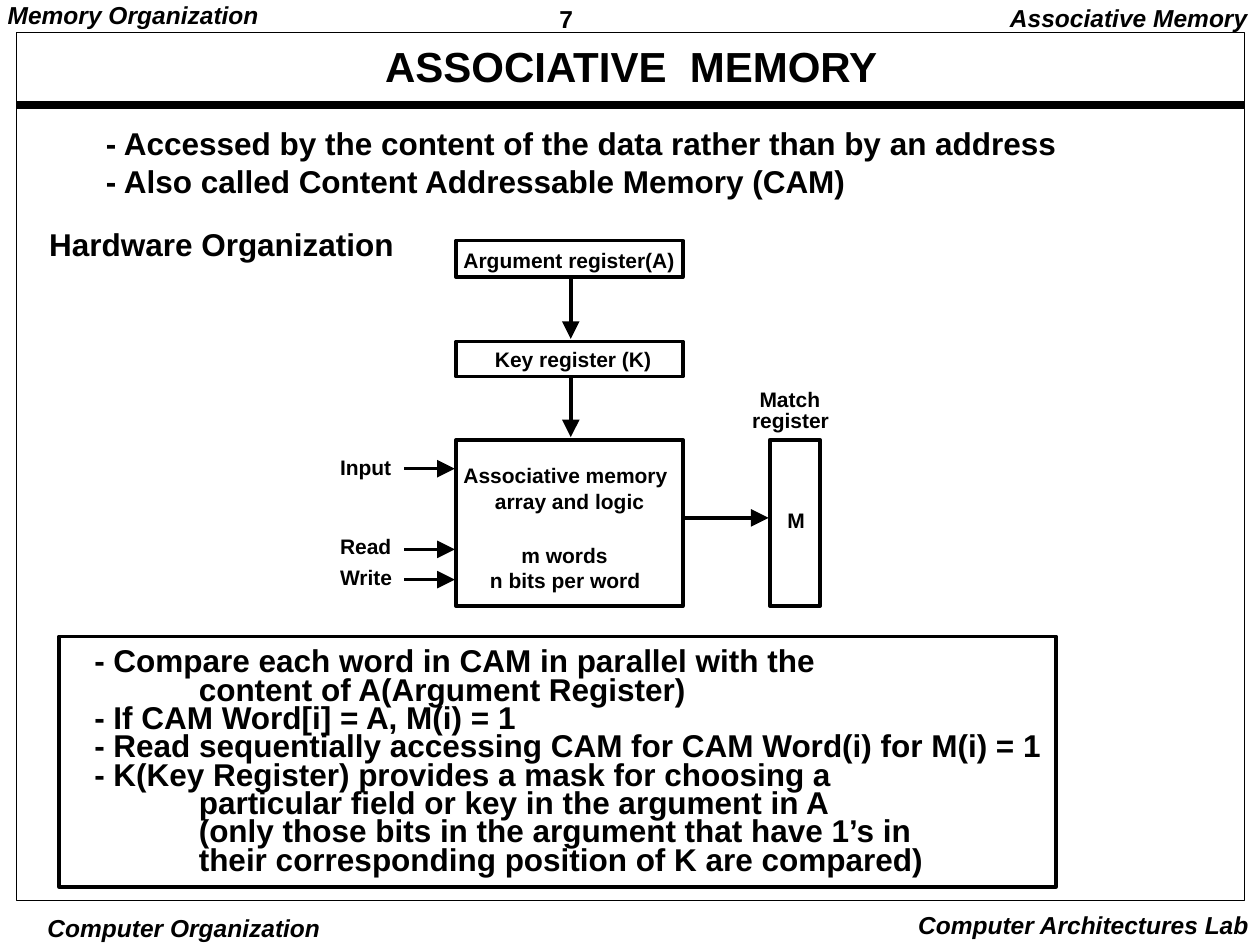
from dataclasses import dataclass

from lxml import etree
from pptx import Presentation
from pptx.dml.color import RGBColor
from pptx.enum.shapes import MSO_CONNECTOR, MSO_SHAPE
from pptx.enum.text import MSO_ANCHOR, MSO_AUTO_SIZE, PP_ALIGN
from pptx.oxml.ns import qn
from pptx.slide import Slide
from pptx.util import Inches, Pt

BLACK = RGBColor(0, 0, 0)
FONT = "Arial"
RECT = MSO_SHAPE.RECTANGLE
LINE = MSO_CONNECTOR.STRAIGHT
LEFT, MID, RIGHT = PP_ALIGN.LEFT, PP_ALIGN.CENTER, PP_ALIGN.RIGHT
TOP, MIDDLE = MSO_ANCHOR.TOP, MSO_ANCHOR.MIDDLE
NO_FIT, GROW = MSO_AUTO_SIZE.NONE, MSO_AUTO_SIZE.SHAPE_TO_FIT_TEXT
TAB = 0.83
SLACK = 0.08  # spare width that keeps each line whole
SHIFT = {LEFT: 0, MID: SLACK / 2, RIGHT: SLACK}


@dataclass
class Label:
    """A text box; lines that start with a tab are indented."""
    left: float
    top: float
    width: float
    height: float
    lines: tuple[str, ...]
    size: int = 12
    italic: bool = False
    align: PP_ALIGN = LEFT
    space: float = 0.9
    pad: tuple[float, float] = (0.1, 0.05)
    title: bool = False


@dataclass
class Frame:
    left: float
    top: float
    width: float
    height: float
    weight: float = 2


@dataclass
class Stroke:
    x1: float
    y1: float
    x2: float
    y2: float
    weight: float = 2
    head: bool = True


SLIM = (0.07, 0.03)

LABELS = [
    Label(4.37, 0, 1.08, 0.29, ("7",), 14, space=1.01, pad=SLIM),
    Label(-0.01, 0, 2.13, 0.27, ("Memory Organization",), 14, True, pad=SLIM),
    Label(7.92, 0, 2.08, 0.31, ("Associative Memory",), 14, True, RIGHT),
    Label(0.35, 7.24, 2.22, 0.26, ("Computer Organization",), 14, True, MID,
          1, (0.03, 0.01)),
    Label(7.18, 7.17, 2.83, 0.33, ("Computer Architectures Lab",), 14, True,
          RIGHT, 1),
    Label(0.41, 0.29, 9.2, 0.51, ("ASSOCIATIVE  MEMORY",), 24, align=MID,
          pad=SLIM, title=True),
    Label(0.77, 0.95, 7.7, 0.66, (
        "- Accessed by the content of the data rather than by an address",
        "- Also called Content Addressable Memory (CAM)",
    ), 18, space=1.01, pad=SLIM),
    Label(0.32, 1.75, 2.88, 0.36, ("Hardware Organization",), 18, space=1.02,
          pad=SLIM),
    Label(0.65, 5.11, 7.72, 1.9, (
        "- Compare each word in CAM in parallel with the",
        "\tcontent of A(Argument Register)",
        "- If CAM Word[i] = A, M(i) = 1",
        "- Read sequentially accessing CAM for CAM Word(i) for M(i) = 1",
        "- K(Key Register) provides a mask for choosing a",
        "\tparticular field or key in the argument in A",
        "\t(only those bits in the argument that have 1’s in",
        "\ttheir corresponding position of K are compared)",
    ), 18, space=0.75),
]

# Diagram labels: left, top, width, text
PARTS = [
    (3.58, 1.94, 1.87, "Argument register(A)"),
    (3.83, 2.72, 1.44, "Key register (K)"),
    (3.58, 3.64, 1.82, "Associative memory"),
    (3.83, 3.85, 1.38, "array and logic"),
    (4.04, 4.28, 0.88, "m words"),
    (3.79, 4.48, 1.39, "n bits per word"),
    (5.93, 3.04, 0.68, "Match"),
    (5.87, 3.21, 0.81, "register"),
    (2.6, 3.58, 0.61, "Input"),
    (2.6, 4.21, 0.61, "Read"),
    (2.6, 4.45, 0.61, "Write"),
    (6.15, 4, 0.34, "M"),
]
LABELS += [Label(x, y, w, 0.28, (text,)) for x, y, w, text in PARTS]

FRAMES = [
    Frame(0.13, 0.26, 9.75, 6.89, 0.5),
    Frame(3.62, 1.91, 1.8, 0.29),
    Frame(3.62, 2.71, 1.8, 0.28),
    Frame(3.62, 3.49, 1.8, 1.32),
    Frame(6.11, 3.49, 0.4, 1.32),
    Frame(0.47, 5.05, 7.91, 1.99),
]

STROKES = [
    Stroke(0.13, 0.83, 9.87, 0.83, 4.5, False),
    Stroke(4.53, 2.21, 4.53, 2.69),
    Stroke(4.53, 2.99, 4.53, 3.47),
    Stroke(5.42, 4.11, 6.1, 4.11),
    *(Stroke(3.21, y, 3.61, y) for y in (3.72, 4.36, 4.6)),
]


def add_label(slide: Slide, label: Label) -> None:
    box = slide.shapes.add_textbox(
        Inches(label.left - SHIFT[label.align]), Inches(label.top),
        Inches(label.width + SLACK), Inches(label.height))
    frame = box.text_frame
    frame.word_wrap = True
    frame.auto_size = NO_FIT if label.title else GROW
    frame.vertical_anchor = MIDDLE if label.title else TOP
    frame.margin_left = frame.margin_right = Inches(label.pad[0])
    frame.margin_top = frame.margin_bottom = Inches(label.pad[1])
    for i, line in enumerate(label.lines):
        para = frame.add_paragraph() if i else frame.paragraphs[0]
        para.text = line.lstrip("\t")
        if line.startswith("\t"):
            para._p.get_or_add_pPr().set("marL", str(Inches(TAB)))
        para.alignment = label.align
        para.line_spacing = label.space
        font = para.font
        font.name, font.size = FONT, Pt(label.size)
        font.bold, font.italic = True, label.italic
        font.color.rgb = BLACK


def add_frame(slide: Slide, frame: Frame) -> None:
    shape = slide.shapes.add_shape(RECT, Inches(frame.left), Inches(frame.top),
                                   Inches(frame.width), Inches(frame.height))
    shape.shadow.inherit = False
    shape.fill.background()
    shape.line.color.rgb = BLACK
    shape.line.width = Pt(frame.weight)


def add_stroke(slide: Slide, stroke: Stroke) -> None:
    line = slide.shapes.add_connector(LINE, Inches(stroke.x1), Inches(stroke.y1),
                                      Inches(stroke.x2), Inches(stroke.y2))
    line.line.color.rgb = BLACK
    line.line.width = Pt(stroke.weight)
    props = line._element.spPr
    if stroke.head:
        etree.SubElement(props.find(qn("a:ln")), qn("a:tailEnd"),
                         type="triangle", w="lg", len="lg")
    etree.SubElement(props, qn("a:effectLst"))


def main() -> None:
    deck = Presentation()
    deck.slide_width, deck.slide_height = Inches(10), Inches(7.5)
    slide = deck.slides.add_slide(deck.slide_layouts[6])
    for frame in FRAMES:
        add_frame(slide, frame)
    for stroke in STROKES:
        add_stroke(slide, stroke)
    for label in LABELS:
        add_label(slide, label)
    deck.save("out.pptx")


if __name__ == "__main__":
    main()
